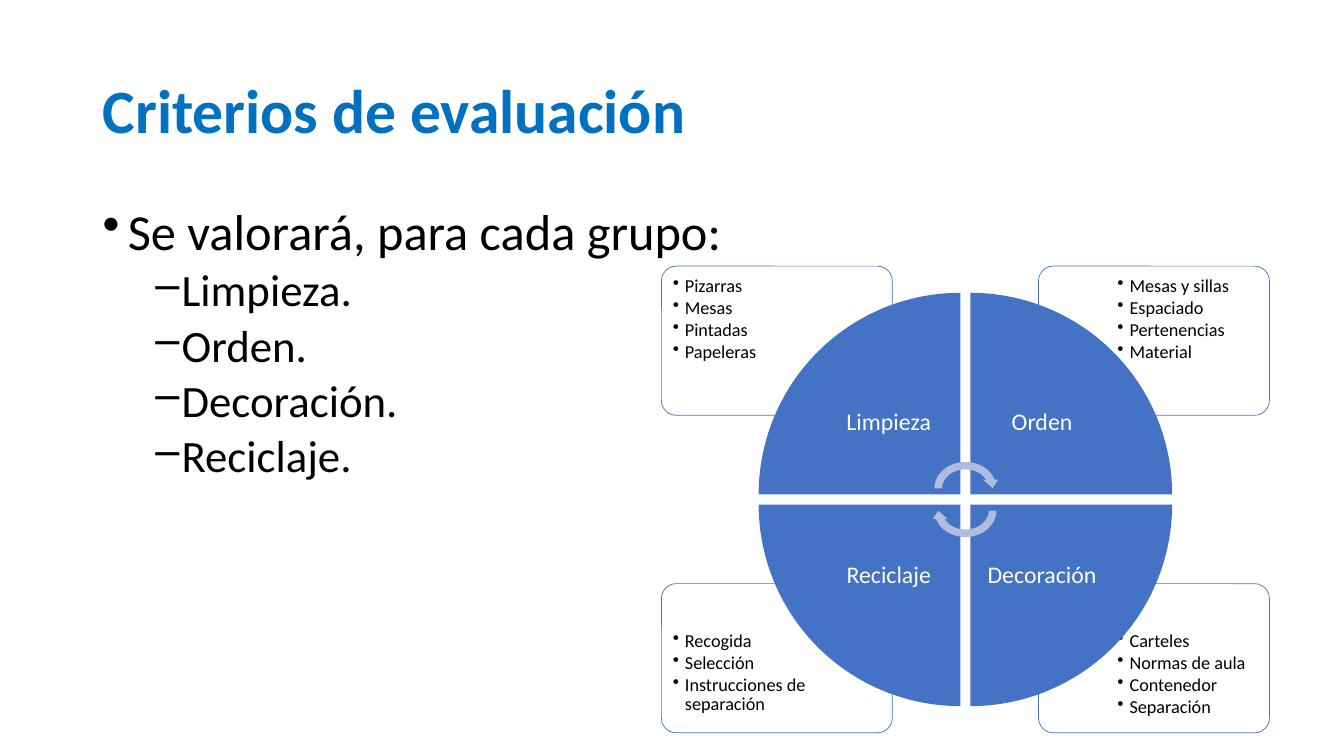
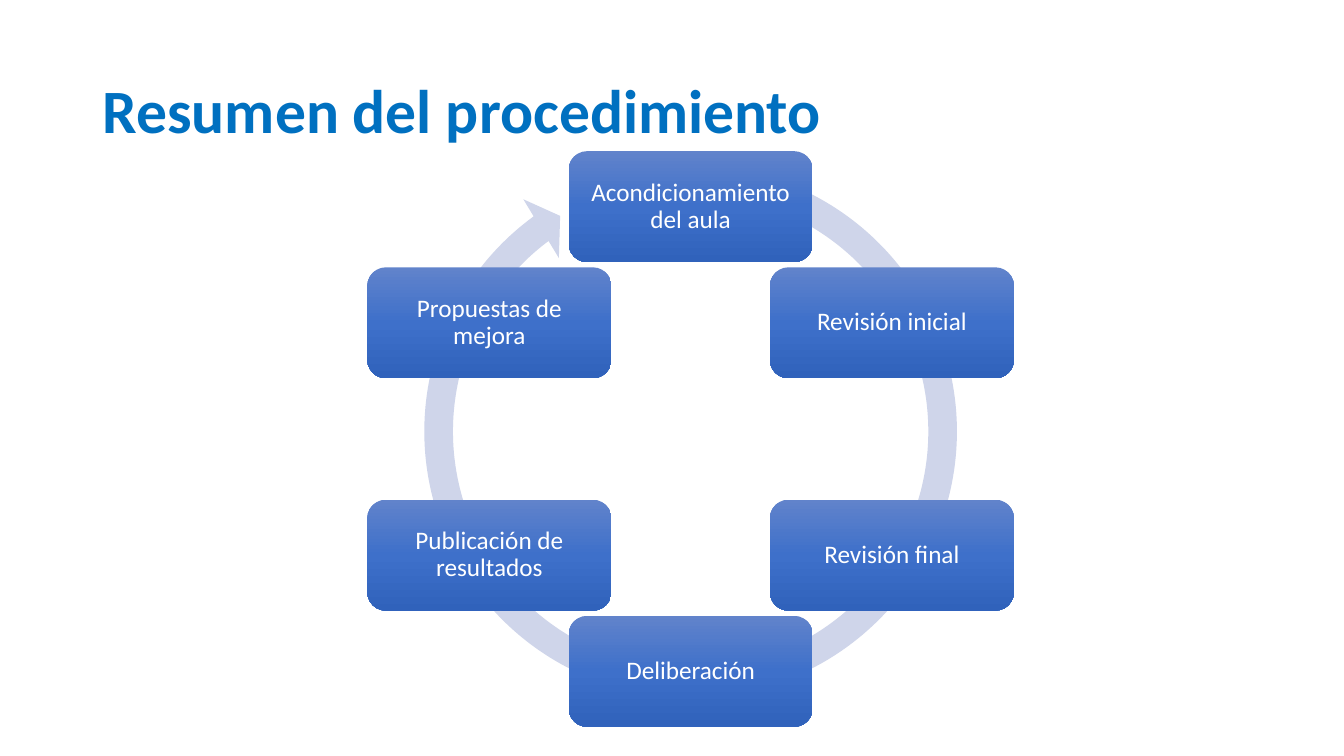
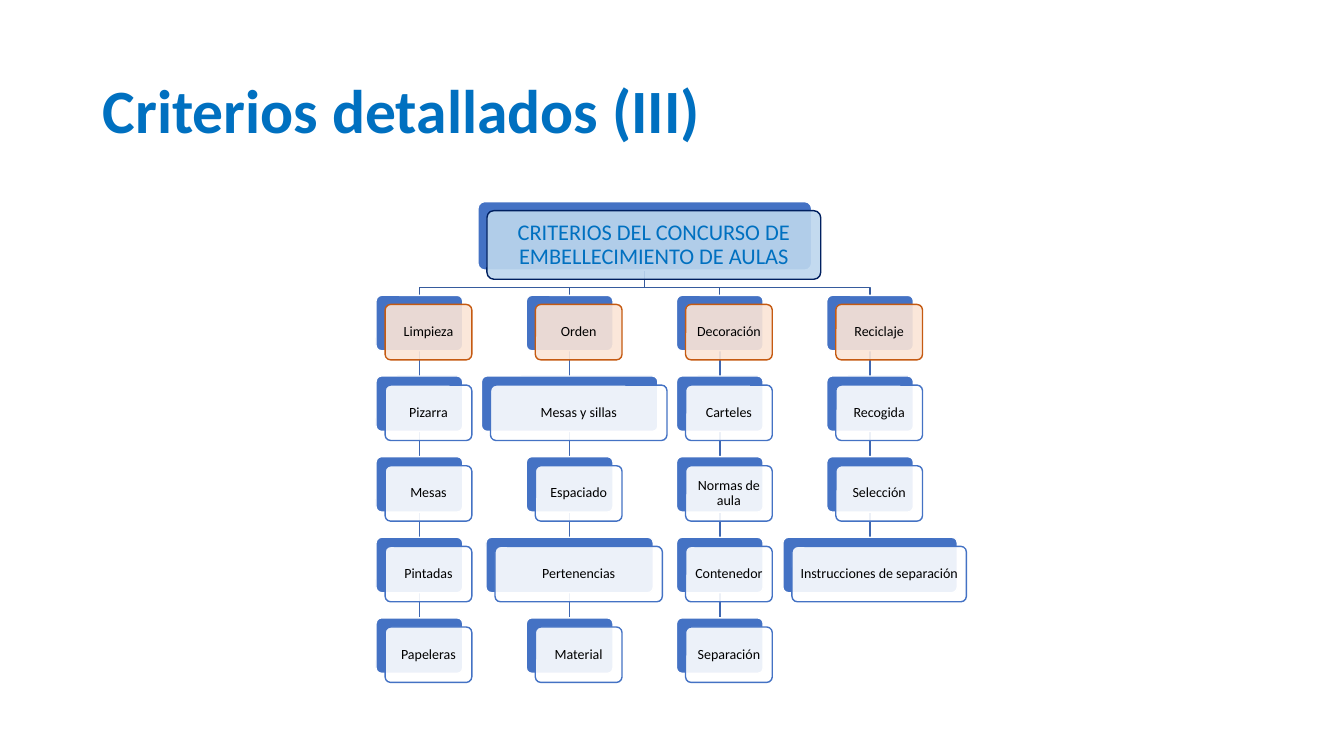
from copy import deepcopy
from math import cos, radians, sin

from lxml import etree
from pptx import Presentation
from pptx.dml.color import RGBColor
from pptx.enum.shapes import MSO_CONNECTOR, MSO_SHAPE
from pptx.enum.text import MSO_ANCHOR, PP_ALIGN
from pptx.oxml.ns import qn
from pptx.util import Inches, Pt

ROUNDED, WEDGE, RING = MSO_SHAPE.ROUNDED_RECTANGLE, MSO_SHAPE.PIE_WEDGE, MSO_SHAPE.CIRCULAR_ARROW
STRAIGHT = MSO_CONNECTOR.STRAIGHT
TOP, MIDDLE = MSO_ANCHOR.TOP, MSO_ANCHOR.MIDDLE
LEFT, CENTER = PP_ALIGN.LEFT, PP_ALIGN.CENTER

FONT = "Calibri"
SLIDE_W, SLIDE_H = 13.33, 7.5
BLACK = RGBColor(0x00, 0x00, 0x00)
WHITE = RGBColor(0xFF, 0xFF, 0xFF)
TITLE_BLUE = RGBColor(0x00, 0x70, 0xC0)
BLUE = RGBColor(0x44, 0x72, 0xC4)
PALE_ARROW = RGBColor(0xB0, 0xBC, 0xDE)
PALE_RING = RGBColor(0xCF, 0xD5, 0xEA)
NODE_GRADIENT = (RGBColor(0x61, 0x83, 0xCB), RGBColor(0x3E, 0x70, 0xCA), RGBColor(0x30, 0x62, 0xBB))
ROOT_FILL, ROOT_LINE = RGBColor(0xBD, 0xD7, 0xEE), RGBColor(0x00, 0x20, 0x60)
HEAD_FILL, HEAD_LINE = RGBColor(0xFB, 0xE5, 0xD6), RGBColor(0xC5, 0x5A, 0x11)
ELBOW_LINE, DROP_LINE = RGBColor(0x36, 0x5B, 0x9D), RGBColor(0x3E, 0x67, 0xB2)

# Boxes are left, top, width, height in inches
TITLE_BOX = (0.92, 0.4, 11.5, 1.45)
BODY_BOX = (0.92, 2, 11.5, 4.76)
WHEEL_BOX = (6.56, 2.64, 6.03, 4.63)
CYCLE_BOX = (3.64, 1.5, 6.42, 5.71)
TREE_BOX = (3.73, 2, 5.87, 4.76)

# Rows of the body list: text, size, space before, left indent, bullet
BODY = [("Se valorará, para cada grupo:", 36, 10, 0.25, "•")] + [
    (item, 32, 5, 0.75, "‒") for item in ("Limpieza.", "Orden.", "Decoración.", "Reciclaje.")]

# Clockwise from the upper left: wedge label, card items, column, row
QUARTERS = [
    ("Limpieza", ("Pizarras", "Mesas", "Pintadas", "Papeleras"), 0, 0),
    ("Orden", ("Mesas y sillas", "Espaciado", "Pertenencias", "Material"), 1, 0),
    ("Decoración", ("Carteles", "Normas de aula", "Contenedor", "Separación"), 1, 1),
    ("Reciclaje", ("Recogida", "Selección", "Instrucciones de separación"), 0, 1),
]
# Clockwise from the top
STEPS = ["Acondicionamiento del aula", "Revisión inicial", "Revisión final",
         "Deliberación", "Publicación de resultados", "Propuestas de mejora"]
ROOT = "CRITERIOS DEL CONCURSO DE EMBELLECIMIENTO DE AULAS"
BRANCHES = [
    ("Limpieza", "Pizarra", "Mesas", "Pintadas", "Papeleras"),
    ("Orden", "Mesas y sillas", "Espaciado", "Pertenencias", "Material"),
    ("Decoración", "Carteles", "Normas de aula", "Contenedor", "Separación"),
    ("Reciclaje", "Recogida", "Selección", "Instrucciones de separación"),
]
WIDE_NODES = {"Mesas y sillas": 1.75, "Pertenencias": 1.66, "Instrucciones de separación": 1.73}


def inches(*lengths):
    return [Inches(length) for length in lengths]


def set_frame(frame, margins, anchor):
    frame.word_wrap = True
    frame.vertical_anchor = anchor
    frame.margin_left, frame.margin_top, frame.margin_right, frame.margin_bottom = inches(*margins)


def add_line(frame, text, size, color, align=LEFT, bold=False, before=0, after=0,
             indent=0, hang=0, bullet=None):
    """Write one paragraph, using the empty first one if it is free."""
    first = frame.paragraphs[0]
    para = frame.add_paragraph() if first.runs else first
    para.alignment, para.line_spacing = align, 0.9
    para.space_before, para.space_after = Pt(before), Pt(after)
    if bullet:
        props = para._p.get_or_add_pPr()
        props.set("marL", str(Inches(indent)))
        props.set("indent", str(-Inches(hang)))
        etree.SubElement(props, qn("a:buChar")).set("char", bullet)
    run = para.add_run()
    run.text = text
    run.font.name, run.font.size, run.font.bold = FONT, Pt(size), bold
    run.font.color.rgb = color


def add_text_box(slide, box, margins=(0.1, 0.05, 0.1, 0.05), anchor=TOP):
    frame = slide.shapes.add_textbox(*inches(*box)).text_frame
    set_frame(frame, margins, anchor)
    return frame


def add_panel(slide, kind, box, fill=None, line=None, width=1, opacity=100, rotation=0):
    panel = slide.shapes.add_shape(kind, *inches(*box))
    panel.shadow.inherit = False
    panel.rotation = rotation
    if fill is not None:
        panel.fill.solid()
        panel.fill.fore_color.rgb = fill
    if opacity < 100:
        color = panel._element.spPr.find(qn("a:solidFill"))[0]
        etree.SubElement(color, qn("a:alpha")).set("val", str(opacity * 1000))
    if line is None:
        panel.line.fill.background()
    else:
        panel.line.color.rgb, panel.line.width = line, Pt(width)
    return panel


def add_card(slide, box, fill, line, width=1, opacity=100):
    card = add_panel(slide, ROUNDED, box, fill, line, width, opacity)
    card.adjustments[0] = 0.1
    return card


def fill_gradient(shape, colors):
    shape.fill.gradient()
    shape.fill.gradient_angle = 270
    stops = shape._element.spPr.find(qn("a:gradFill")).find(qn("a:gsLst"))
    stops.insert(1, deepcopy(stops[0]))
    for i, (stop, color) in enumerate(zip(shape.fill.gradient_stops, colors)):
        stop.position = i / (len(colors) - 1)
        stop.color.rgb = color


def add_titled_slide(prs, title):
    slide = prs.slides.add_slide(prs.slide_layouts[6])
    frame = add_text_box(slide, TITLE_BOX, anchor=MIDDLE)
    add_line(frame, title, 44, TITLE_BLUE, bold=True)
    return slide


def add_body(slide, box):
    frame = add_text_box(slide, box)
    for text, size, before, indent, bullet in BODY:
        add_line(frame, text, size, BLACK, before=before, indent=indent, hang=0.25, bullet=bullet)


def add_wheel(slide, box):
    left, top, width, height = box
    card_w, card_h = 2.29, 1.48
    wedge, gap, label_side = 2, 0.1, 1.42
    center_x, center_y = left + width / 2, top + height / 2

    # Corner cards; their text keeps to the outer side
    for _, items, col, row in QUARTERS:
        card = add_card(slide, (left + col * (width - card_w), top + row * (height - card_h),
                                card_w, card_h), WHITE, BLUE, 0.5, 90)
        side_margins = (0.74, 0.07) if col else (0.07, 0.74)
        set_frame(card.text_frame, (side_margins[0], 0.43 if row else 0.06, side_margins[1], 0), TOP)
        for item in items:
            add_line(card.text_frame, item, 13, BLACK, after=1.7, indent=0.12, hang=0.12, bullet="•")

    # Quarter wedges, each with a label against the centre
    for i, (label, _, col, row) in enumerate(QUARTERS):
        def corner(side):
            return (center_x + (gap / 2 if col else -gap / 2 - side),
                    center_y + (gap / 2 if row else -gap / 2 - side), side, side)
        add_panel(slide, WEDGE, corner(wedge), BLUE, rotation=90 * i)
        frame = add_text_box(slide, corner(label_side), (0.13,) * 4, MIDDLE)
        add_line(frame, label, 17, WHITE, CENTER)

    # Turning arrows in the middle
    arrow_w, arrow_h, shift = 0.69, 0.6, 0.11
    for turn, offset in ((0, -shift), (180, shift)):
        add_panel(slide, RING, (center_x - arrow_w / 2, center_y - arrow_h / 2 + offset,
                                arrow_w, arrow_h), PALE_ARROW, rotation=turn)


def add_cycle(slide, box):
    left, top, width, height = box
    node_w, node_h, ring_side = 2.42, 1.1, 5.68
    radius = (height - node_h) / 2
    center_x, center_y = left + width / 2, top + height / 2

    ring = add_panel(slide, RING, (center_x - ring_side / 2, top - 0.06, ring_side, ring_side), PALE_RING)
    for i, value in enumerate((0.05, 3.13, 140.16, 172.52, 0.06)):
        ring.adjustments[i] = value

    for i, step in enumerate(STEPS):
        angle = radians(360 / len(STEPS) * i)
        node = add_panel(slide, ROUNDED, (center_x + radius * sin(angle) - node_w / 2,
                                          center_y - radius * cos(angle) - node_h / 2,
                                          node_w, node_h))
        fill_gradient(node, NODE_GRADIENT)
        set_frame(node.text_frame, (0.07,) * 4, MIDDLE)
        add_line(node.text_frame, step, 18, WHITE, CENTER)


def add_tree_node(slide, box, text, size, color, fill, line, margin):
    """A solid card with a translucent card in front of it."""
    left, top, width, height = box
    add_card(slide, box, BLUE, WHITE)
    front = add_card(slide, (left + 0.09, top + 0.09, width, height), fill, line, opacity=90)
    set_frame(front.text_frame, (margin,) * 4, MIDDLE)
    add_line(front.text_frame, text, size, color, CENTER)


def add_elbow(slide, points):
    corners = [tuple(inches(x, y)) for x, y in points]
    builder = slide.shapes.build_freeform(*corners[0])
    builder.add_line_segments(corners[1:], close=False)
    elbow = builder.convert_to_shape()
    elbow.shadow.inherit = False
    elbow.fill.background()
    elbow.line.color.rgb, elbow.line.width = ELBOW_LINE, Pt(1)


def add_drop(slide, x, start, end):
    drop = slide.shapes.add_connector(STRAIGHT, *inches(x, start, x, end))
    drop.line.color.rgb, drop.line.width = DROP_LINE, Pt(1)
    etree.SubElement(drop._element.spPr, qn("a:effectLst"))


def add_tree(slide, box):
    left, top, _, _ = box
    node_w, node_h, root_w, root_h = 0.86, 0.55, 3.31, 0.68
    col_step, row_step = 1.49, 0.8
    first_row = top + 0.93
    centers = [left + node_w / 2 + col_step * i for i in range(len(BRANCHES))]
    root_x = (centers[0] + centers[-1]) / 2
    root_bottom = top + root_h

    # Lines lie behind the cards
    for x, branch in zip(centers, BRANCHES):
        bend = root_bottom + 0.17
        add_elbow(slide, [(root_x, root_bottom), (root_x, bend), (x, bend), (x, first_row)])
        for row in range(1, len(branch)):
            y = first_row + row * row_step
            add_drop(slide, x, y - row_step + node_h, y)

    add_tree_node(slide, (root_x - root_w / 2, top, root_w, root_h),
                  ROOT, 16, TITLE_BLUE, ROOT_FILL, ROOT_LINE, 0.07)
    for x, branch in zip(centers, BRANCHES):
        for row, text in enumerate(branch):
            width = WIDE_NODES.get(text, node_w)
            fill, line = (WHITE, BLUE) if row else (HEAD_FILL, HEAD_LINE)
            add_tree_node(slide, (x - width / 2, first_row + row * row_step, width, node_h),
                          text, 10, BLACK, fill, line, 0.04)


def main():
    prs = Presentation()
    prs.slide_width, prs.slide_height = inches(SLIDE_W, SLIDE_H)

    criteria = add_titled_slide(prs, "Criterios de evaluación")
    add_body(criteria, BODY_BOX)
    add_wheel(criteria, WHEEL_BOX)

    add_cycle(add_titled_slide(prs, "Resumen del procedimiento"), CYCLE_BOX)
    add_tree(add_titled_slide(prs, "Criterios detallados (III)"), TREE_BOX)
    prs.save("out.pptx")


if __name__ == "__main__":
    main()
